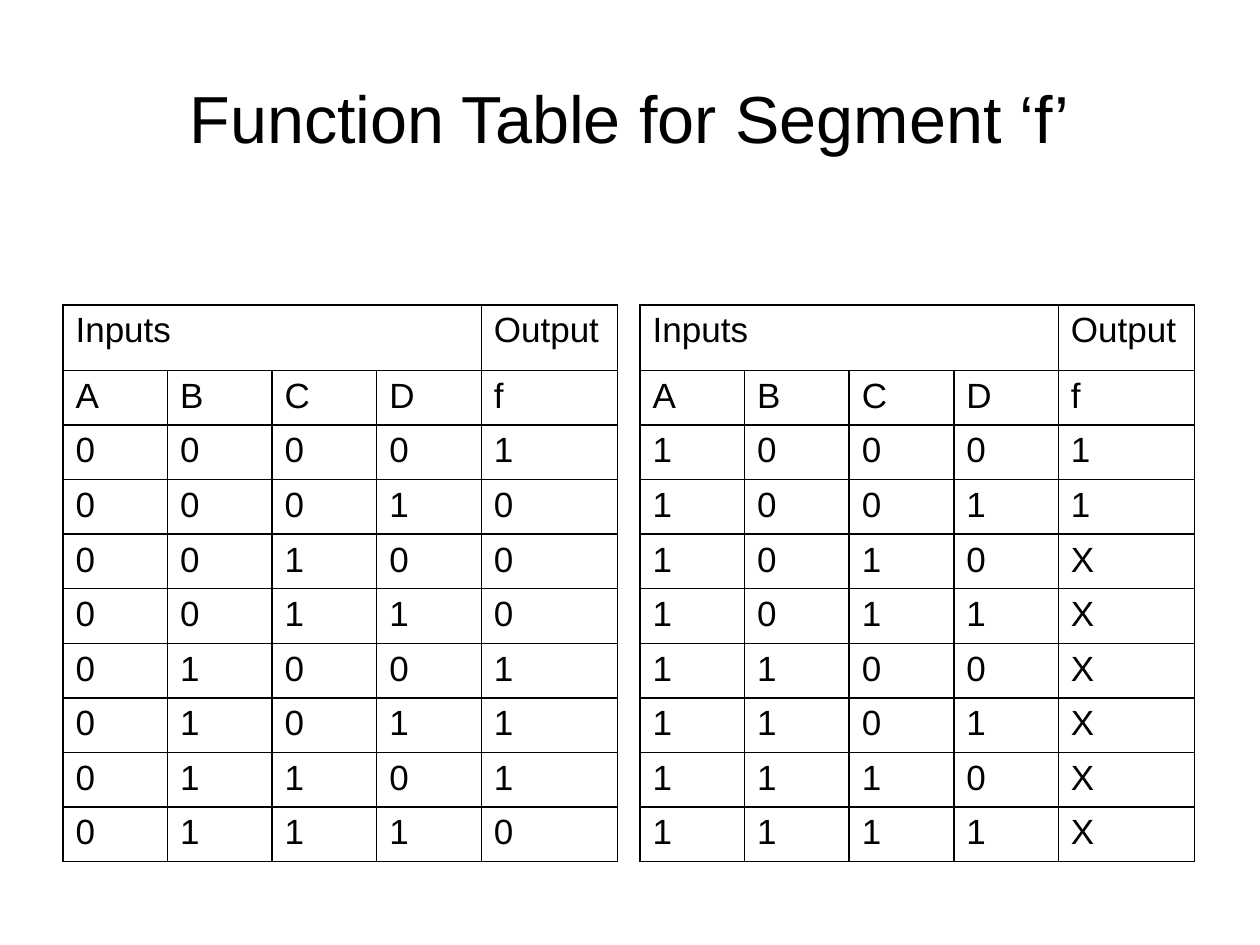
from lxml.etree import SubElement
from pptx import Presentation
from pptx.dml.color import RGBColor
from pptx.enum.text import MSO_ANCHOR, MSO_AUTO_SIZE, PP_ALIGN
from pptx.oxml.ns import qn
from pptx.util import Inches, Pt

BLACK = RGBColor(0, 0, 0)
FONT = "Arial"
TITLE = "Function Table for Segment ‘f’"
HEAD = ["Inputs", "", "", "", "Output"]
NAMES = ["A", "B", "C", "D", "f"]
TABLES = [
    {"left": 0.5, "start": 0, "out": "10001110", "hang": 0.38},
    {"left": 5.08, "start": 8, "out": "11XXXXXX", "hang": 0},
]
TOP = 2.42
COLS = [0.83] * 4 + [1.08]
ROWS = [0.52] + [3.9 / 9] * 9


def write(frame, text, size=20, align=PP_ALIGN.JUSTIFY, hang=0):
    para = frame.paragraphs[0]
    para.alignment = align
    if hang:
        props = para._p.get_or_add_pPr()
        props.set("marL", str(Inches(hang)))
        props.set("indent", str(-Inches(hang)))
    run = para.add_run()
    run.text = text
    run.font.size = Pt(size)
    run.font.name = FONT
    run.font.color.rgb = BLACK


def border(cell):
    props = cell._tc.get_or_add_tcPr()
    for side in ("a:lnL", "a:lnR", "a:lnT", "a:lnB"):
        line = SubElement(props, qn(side), w=str(Pt(1)))
        fill = SubElement(line, qn("a:solidFill"))
        SubElement(fill, qn("a:srgbClr"), val=str(BLACK))


def draw(slide, left, start, out, hang):
    bits = [list(f"{start + i:04b}") + [mark] for i, mark in enumerate(out)]
    data = [HEAD, NAMES] + bits
    frame = slide.shapes.add_table(
        len(ROWS), len(COLS), Inches(left), Inches(TOP),
        Inches(sum(COLS)), Inches(sum(ROWS)))
    table = frame.table
    table.first_row = False
    table.horz_banding = False
    for col, width in zip(table.columns, COLS):
        col.width = Inches(width)
    for row, height, texts in zip(table.rows, ROWS, data):
        row.height = Inches(height)
        for cell, text in zip(row.cells, texts):
            border(cell)
            cell.fill.background()
            if text:
                write(cell.text_frame, text, hang=hang)
    table.cell(0, 0).merge(table.cell(0, 3))


def main():
    deck = Presentation()
    deck.slide_width, deck.slide_height = Inches(10), Inches(7.5)
    slide = deck.slides.add_slide(deck.slide_layouts[5])
    title = slide.shapes.title
    title.left, title.top = Inches(0.5), Inches(0.3)
    title.width, title.height = Inches(9), Inches(1.25)
    title.text_frame.auto_size = MSO_AUTO_SIZE.NONE
    title.text_frame.vertical_anchor = MSO_ANCHOR.MIDDLE
    write(title.text_frame, TITLE, size=38, align=PP_ALIGN.CENTER)
    for item in TABLES:
        draw(slide, **item)
    deck.save("out.pptx")


if __name__ == "__main__":
    main()
